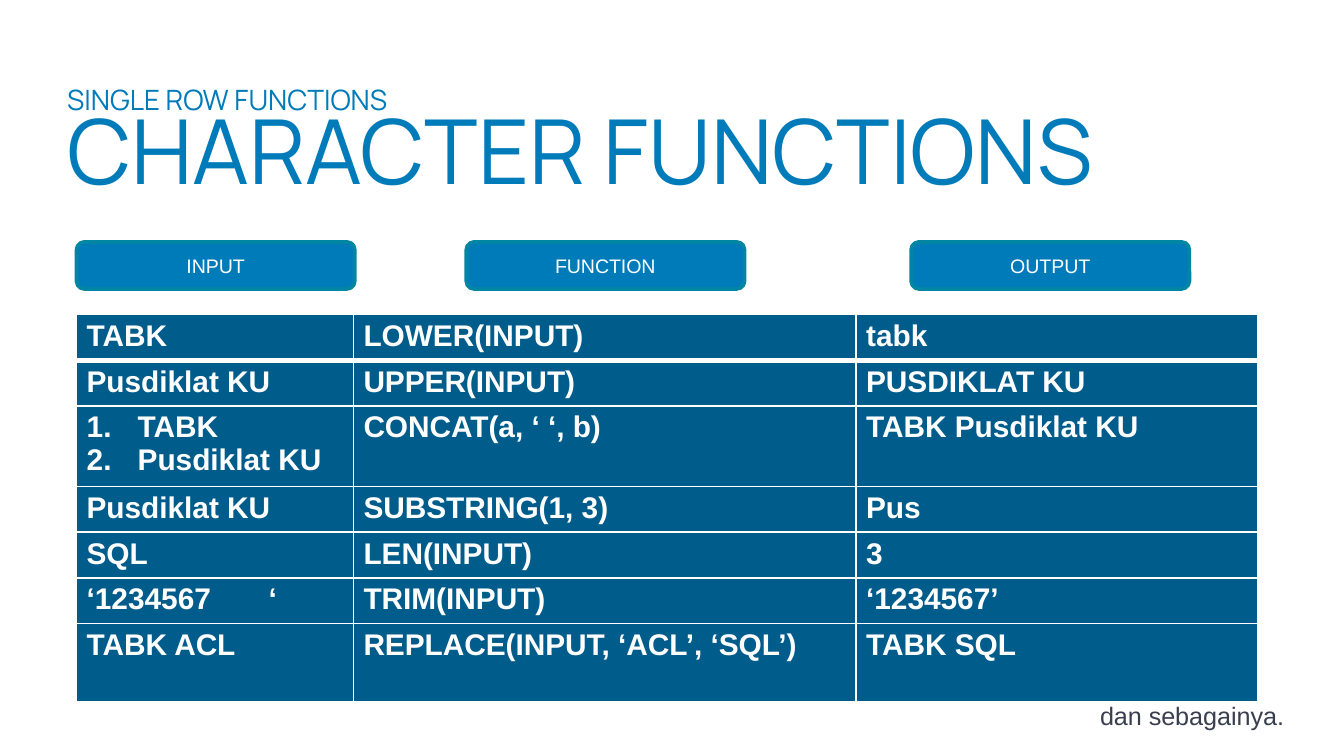
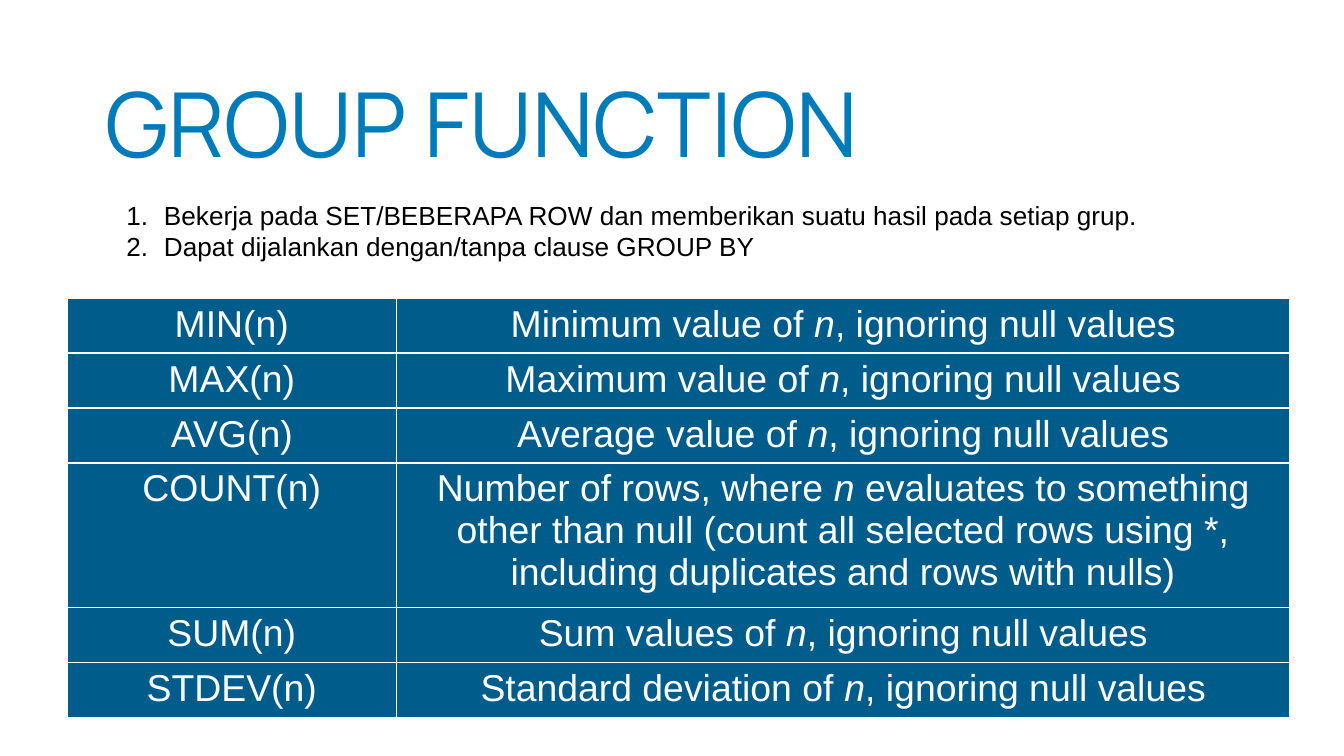
from dataclasses import dataclass
from typing import Optional

import pptx
import pptx.dml.color
import pptx.enum.shapes
import pptx.enum.text
import pptx.oxml
import pptx.oxml.ns
import pptx.util

PX = 9144  # EMU in one px, 100 px to the inch
ALIGN = pptx.enum.text.PP_ALIGN
ANCHOR = pptx.enum.text.MSO_ANCHOR


@dataclass(frozen=True)
class Theme:
    blue: str = "007BB9"
    deep_blue: str = "005C8B"
    teal: str = "0086A3"
    slate: str = "3A3F50"
    white: str = "FFFFFF"
    black: str = "000000"
    title_font: str = "Manrope"
    body_font: str = "Arial"
    title_size: float = 48
    kicker_size: float = 15
    label_size: float = 10.5
    note_size: float = 13.5
    list_size: float = 14
    function_size: float = 16
    group_size: float = 20
    rule: float = 1
    heavy_rule: float = 3
    inset_across: float = 5.4
    inset_down: float = 2.7


THEME = Theme()


@dataclass(frozen=True)
class Area:
    left: int
    top: int
    width: int
    height: int

    def emu(self) -> tuple:
        return tuple(px(n) for n in (self.left, self.top, self.width, self.height))


@dataclass(frozen=True)
class Style:
    size: float
    color: str
    font: str = THEME.body_font
    bold: bool = False


@dataclass(frozen=True)
class Span:
    text: str
    italic: bool = False


@dataclass(frozen=True)
class Line:
    spans: tuple
    indent: int = 0  # a hanging indent makes the line a numbered one


@dataclass(frozen=True)
class Grid:
    area: Area
    columns: tuple
    row_heights: tuple
    rows: list
    style: Style
    align: Optional[ALIGN] = None
    heavy_after: int = 0  # rows above the heavy rule


def px(length: int) -> pptx.util.Emu:
    return pptx.util.Emu(length * PX)


def rgb(color: str) -> pptx.dml.color.RGBColor:
    return pptx.dml.color.RGBColor.from_string(color)


def plain(text: str, indent: int = 0) -> Line:
    return Line((Span(text),), indent)


def add_run(para, span: Span, style: Style) -> None:
    run = para.add_run()
    run.text = span.text
    run.font.name = style.font
    run.font.size = pptx.util.Pt(style.size)
    run.font.color.rgb = rgb(style.color)
    run.font.bold = style.bold
    run.font.italic = span.italic


def number_paragraph(para, indent: int, color: str) -> None:
    properties = para._p.get_or_add_pPr()
    properties.set("marL", str(px(indent)))
    properties.set("indent", str(-px(indent)))
    namespace = pptx.oxml.ns.nsdecls("a")
    for xml in (
        f'<a:buClr {namespace}><a:srgbClr val="{color}"/></a:buClr>',
        f'<a:buFont {namespace} typeface="+mj-lt"/>',
        f'<a:buAutoNum {namespace} type="arabicPeriod"/>',
    ):
        properties.append(pptx.oxml.parse_xml(xml))


def write_lines(frame, lines: list, style: Style, align: Optional[ALIGN] = None) -> None:
    for index, line in enumerate(lines):
        para = frame.paragraphs[0] if index == 0 else frame.add_paragraph()
        if line.indent:
            number_paragraph(para, line.indent, style.color)
        if align is not None:
            para.alignment = align
        for span in line.spans:
            add_run(para, span, style)


def place(shape, area: Area) -> None:
    shape.left, shape.top, shape.width, shape.height = area.emu()


def set_insets(frame, across: float = THEME.inset_across,
               down: float = THEME.inset_down) -> None:
    """Set the side and the top and bottom margins, in points."""
    frame.margin_left = frame.margin_right = pptx.util.Pt(across)
    frame.margin_top = frame.margin_bottom = pptx.util.Pt(down)


def set_title(slide, area: Area, text: str, align: ALIGN, kicker: str = "") -> None:
    title = slide.shapes.title
    place(title, area)
    frame = title.text_frame
    frame.word_wrap = True
    frame.auto_size = pptx.enum.text.MSO_AUTO_SIZE.NONE
    frame.vertical_anchor = ANCHOR.TOP
    set_insets(frame, 0, 0)
    para = frame.paragraphs[0]
    para.alignment = align
    para.line_spacing = 0.8
    if kicker:
        add_run(para, Span(kicker), Style(THEME.kicker_size, THEME.blue, THEME.title_font))
        para.add_line_break()
    add_run(para, Span(text), Style(THEME.title_size, THEME.blue, THEME.title_font))


def set_numbered_list(slide, area: Area, texts: list) -> None:
    body = slide.placeholders[1]
    place(body, area)
    frame = body.text_frame
    frame.word_wrap = True
    frame.auto_size = pptx.enum.text.MSO_AUTO_SIZE.SHAPE_TO_FIT_TEXT
    frame.vertical_anchor = ANCHOR.TOP
    set_insets(frame, 7.2, 3.6)
    lines = [plain(text, indent=28) for text in texts]
    write_lines(frame, lines, Style(THEME.list_size, THEME.black), ALIGN.LEFT)
    for para in frame.paragraphs:
        para.space_before = pptx.util.Pt(0)


def add_label(slide, area: Area, text: str) -> None:
    label = slide.shapes.add_shape(
        pptx.enum.shapes.MSO_SHAPE.ROUNDED_RECTANGLE, *area.emu())
    label.shadow.inherit = False
    label.fill.solid()
    label.fill.fore_color.rgb = rgb(THEME.blue)
    label.line.color.rgb = rgb(THEME.teal)
    label.line.width = pptx.util.Pt(2)
    label.text_frame.vertical_anchor = ANCHOR.MIDDLE
    write_lines(label.text_frame, [plain(text)],
                Style(THEME.label_size, THEME.white), ALIGN.CENTER)


def add_note(slide, area: Area, text: str) -> None:
    box = slide.shapes.add_textbox(*area.emu())
    box.text_frame.word_wrap = True
    set_insets(box.text_frame)
    write_lines(box.text_frame, [plain(text)], Style(THEME.note_size, THEME.slate))
    box.text_frame.paragraphs[0].line_spacing = 0.9


def set_borders(cell, top: float, bottom: float) -> None:
    properties = cell._tc.get_or_add_tcPr()
    sides = {"lnL": THEME.rule, "lnR": THEME.rule, "lnT": top, "lnB": bottom}
    for side, width in sides.items():
        properties.append(pptx.oxml.parse_xml(
            f'<a:{side} {pptx.oxml.ns.nsdecls("a")} w="{pptx.util.Pt(width)}">'
            f'<a:solidFill><a:srgbClr val="{THEME.white}"/></a:solidFill></a:{side}>'))


def add_grid(slide, grid: Grid) -> None:
    holder = slide.shapes.add_table(
        len(grid.rows), len(grid.columns), *grid.area.emu())
    table = holder.table
    table.first_row = table.horz_banding = False
    for column, width in zip(table.columns, grid.columns):
        column.width = px(width)
    for index, (row, height) in enumerate(zip(table.rows, grid.row_heights)):
        row.height = px(height)
        top, bottom = (
            THEME.heavy_rule if grid.heavy_after and edge == grid.heavy_after else THEME.rule
            for edge in (index, index + 1))
        for cell, lines in zip(row.cells, grid.rows[index]):
            set_borders(cell, top, bottom)
            cell.fill.solid()
            cell.fill.fore_color.rgb = rgb(THEME.deep_blue)
            set_insets(cell)
            write_lines(cell.text_frame, lines, grid.style, grid.align)
    place(holder, grid.area)  # row and column sizes have reset the outer size


def add_character_functions(deck) -> None:
    slide = deck.slides.add_slide(deck.slide_layouts[5])
    set_title(slide, Area(50, 66, 845, 118), "CHARACTER FUNCTIONS",
              ALIGN.LEFT, kicker="SINGLE ROW FUNCTIONS")
    examples = [
        ("TABK", "LOWER(INPUT)", "tabk"),
        ("Pusdiklat KU", "UPPER(INPUT)", "PUSDIKLAT KU"),
        (("TABK", "Pusdiklat KU"), "CONCAT(a, ‘ ‘, b)", "TABK Pusdiklat KU"),
        ("Pusdiklat KU", "SUBSTRING(1, 3)", "Pus"),
        ("SQL", "LEN(INPUT)", "3"),
        ("‘1234567       ‘", "TRIM(INPUT)", "‘1234567’"),
        ("TABK ACL", "REPLACE(INPUT, ‘ACL’, ‘SQL’)", "TABK SQL"),
    ]
    rows = [
        [[plain(text)] if isinstance(text, str) else [plain(item, indent=38) for item in text]
         for text in example]
        for example in examples
    ]
    add_grid(slide, Grid(
        Area(57, 234, 878, 289), (206, 374, 299), (34, 34, 60, 34, 34, 34, 58), rows,
        Style(THEME.function_size, THEME.white, bold=True), heavy_after=1))
    for left, text in ((347, "FUNCTION"), (57, "INPUT"), (678, "OUTPUT")):
        add_label(slide, Area(left, 180, 207, 35), text)
    add_note(slide, Area(811, 520, 240, 62), "dan sebagainya.")


def add_group_function(deck) -> None:
    slide = deck.slides.add_slide(deck.slide_layouts[1])
    set_title(slide, Area(50, 66, 617, 118), "GROUP FUNCTION", ALIGN.CENTER)
    ignoring = ", ignoring null values"
    functions = [
        ("MIN", "Minimum value of ", "n", ignoring),
        ("MAX", "Maximum value of ", "n", ignoring),
        ("AVG", "Average value of ", "n", ignoring),
        ("COUNT", "Number of rows, where ", "n ",
         "evaluates to something other than null (count all selected rows using *, "
         "including duplicates and rows with nulls)"),
        ("SUM", "Sum values of ", "n", ignoring),
        ("STDEV", "Standard deviation of ", "n", ignoring),
    ]
    rows = [
        [[plain(f"{name}(n)")],
         [Line((Span(before), Span(variable, italic=True), Span(after)))]]
        for name, before, variable, after in functions
    ]
    add_grid(slide, Grid(
        Area(50, 222, 909, 312), (245, 665), (30, 30, 30, 97, 30, 30), rows,
        Style(THEME.group_size, THEME.white), ALIGN.CENTER))
    set_numbered_list(slide, Area(84, 143, 793, 57), [
        "Bekerja pada SET/BEBERAPA ROW dan memberikan suatu hasil pada setiap grup.",
        "Dapat dijalankan dengan/tanpa clause GROUP BY",
    ])


def main() -> None:
    deck = pptx.Presentation()
    deck.slide_width = px(1000)
    deck.slide_height = deck.slide_width * 9 // 16
    add_character_functions(deck)
    add_group_function(deck)
    deck.save("out.pptx")


if __name__ == "__main__":
    main()
